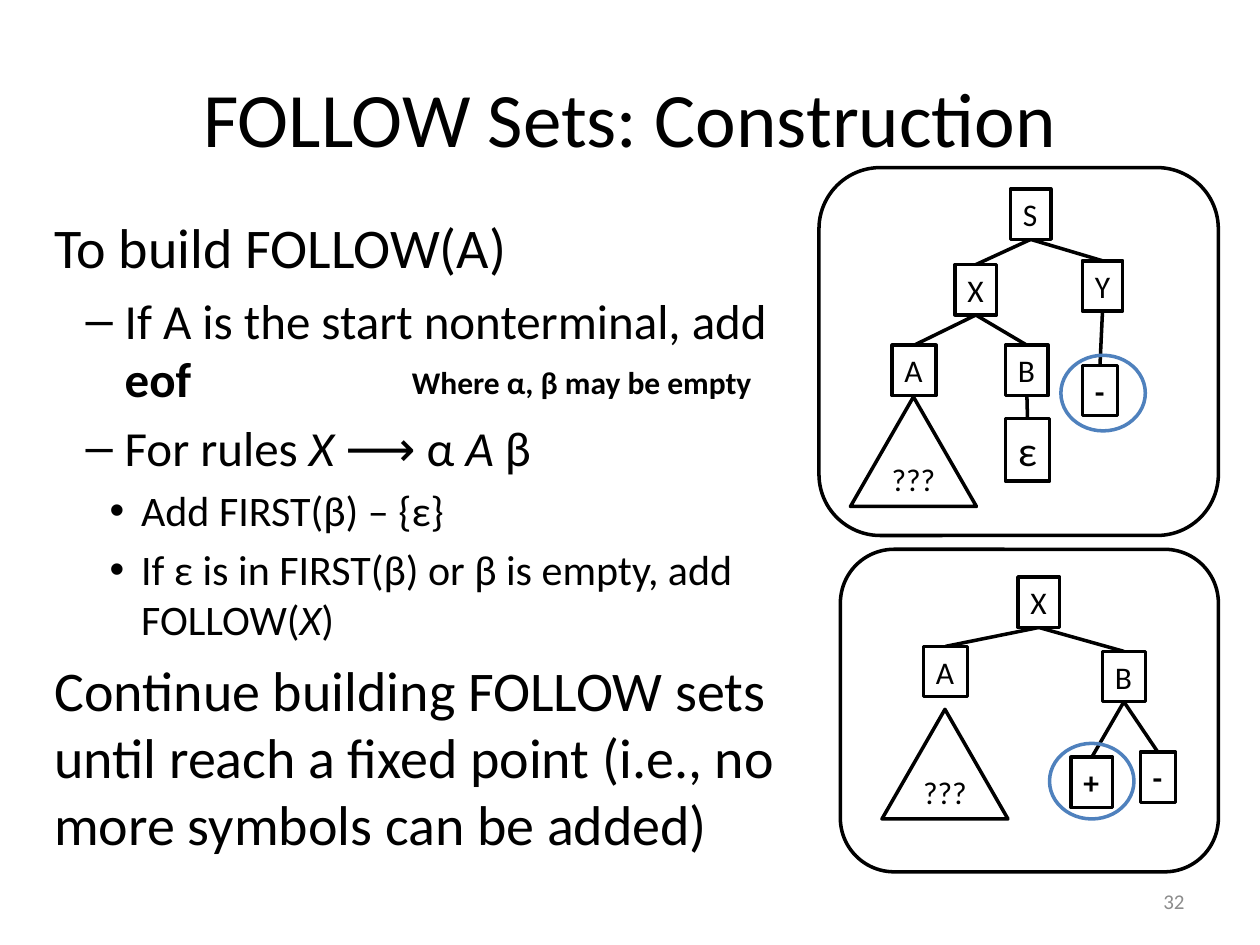
from dataclasses import dataclass
from typing import Optional

from lxml.etree import SubElement
from pptx import Presentation
from pptx.dml.color import RGBColor
from pptx.enum.shapes import MSO_CONNECTOR as Connector, MSO_SHAPE as Shape
from pptx.enum.text import MSO_ANCHOR as Anchor, MSO_AUTO_SIZE as AutoSize, PP_ALIGN as Align
from pptx.oxml.ns import qn
from pptx.util import Inches, Pt

FONT = "Calibri"
BLACK, WHITE, BLUE, GRAY = "000000", "FFFFFF", "4F81BD", "8C8C8C"


@dataclass
class Box:
    left: float
    top: float
    width: float
    height: float

    def lengths(self) -> list:
        return [Inches(value) for value in (self.left, self.top, self.width, self.height)]


@dataclass
class Node:
    label: str
    left: float
    top: float
    width: float
    parent: Optional[str] = None
    height: float = 0.4
    size: int = 18

    def center(self) -> float:
        return self.left + self.width / 2


@dataclass
class Tree:
    frame: Box
    nodes: list
    triangle: Box
    circle: Box


@dataclass
class Level:
    margin: float
    indent: float
    size: int


LEVELS = [Level(0, 0, 32), Level(0.56, -0.31, 28), Level(0.69, -0.25, 24)]

BODY = [
    (0, [("To build FOLLOW(A)", "")]),
    (1, [("If A is the start nonterminal, add ", ""), ("eof", "b")]),
    (1, [("For rules ", ""), ("X", "i"), ("\u00a0⟶\u00a0α\u00a0", ""), ("A\u00a0", "i"), ("β", "")]),
    (2, [("Add FIRST(β) – {ε}", "")]),
    (2, [("If ε is in FIRST(β) or β is empty, add FOLLOW(", ""), ("X", "i"), (")", "")]),
    (0, [("Continue building FOLLOW sets until reach a fixed point (i.e., no more symbols can be added)", "")]),
]

TREES = [
    Tree(
        Box(6.5, 1.33, 3.17, 2.92),
        [
            Node("S", 8.02, 1.5, 0.32),
            Node("X", 7.58, 2.1, 0.33, "S"),
            Node("Y", 8.59, 2.07, 0.32, "S"),
            Node("-", 8.59, 2.9, 0.28, "Y"),
            Node("A", 7.08, 2.74, 0.35, "X"),
            Node("B", 7.98, 2.74, 0.34, "X"),
            Node("ε", 7.98, 3.32, 0.35, "B", 0.5, 24),
        ],
        Box(6.75, 3.15, 1, 0.87),
        Box(8.42, 2.82, 0.67, 0.6),
    ),
    Tree(
        Box(6.67, 4.36, 3, 2.56),
        [
            Node("X", 8.08, 4.58, 0.33),
            Node("A", 7.33, 5.13, 0.35, "X"),
            Node("B", 8.75, 5.17, 0.34, "X"),
            Node("+", 8.5, 6.01, 0.33, "B"),
            Node("-", 9.05, 5.97, 0.28, "B"),
        ],
        Box(7, 5.63, 1, 0.87),
        Box(8.33, 5.9, 0.67, 0.6),
    ),
]


def color(value: str) -> RGBColor:
    return RGBColor.from_string(value)


def format_run(run, size: int, value: str = BLACK, style: str = "") -> None:
    run.font.name = FONT
    run.font.size = Pt(size)
    run.font.color.rgb = color(value)
    run.font.bold = "b" in style
    run.font.italic = "i" in style


def write(shape, text: str, size: int, align, value: str = BLACK, style: str = "") -> None:
    shape.text_frame.text = text
    paragraph = shape.text_frame.paragraphs[0]
    paragraph.alignment = align
    format_run(paragraph.runs[0], size, value, style)


def fit_to_text(shape) -> None:
    shape.text_frame.word_wrap = False
    shape.text_frame.auto_size = AutoSize.SHAPE_TO_FIT_TEXT


def place(shape, box: Box) -> None:
    shape.left, shape.top, shape.width, shape.height = box.lengths()


def add_outline(shapes, kind, box: Box, line: str = BLACK, filled: bool = True):
    shape = shapes.add_shape(kind, *box.lengths())
    shape.shadow.inherit = False
    if filled:
        shape.fill.solid()
        shape.fill.fore_color.rgb = color(WHITE)
    else:
        shape.fill.background()
    shape.line.color.rgb = color(line)
    shape.line.width = Pt(2)
    return shape


def add_edge(shapes, parent: Node, child: Node) -> None:
    edge = shapes.add_connector(
        Connector.STRAIGHT,
        Inches(parent.center()), Inches(parent.top + parent.height),
        Inches(child.center()), Inches(child.top),
    )
    edge.line.color.rgb = color(BLACK)
    edge.line.width = Pt(2)
    SubElement(edge.element.spPr, qn("a:effectLst"))


def add_node(shapes, node: Node) -> None:
    shape = add_outline(shapes, Shape.RECTANGLE, Box(node.left, node.top, node.width, node.height))
    write(shape, node.label, node.size, Align.LEFT, style="b" if node.label in "+-" else "")
    shape.text_frame.vertical_anchor = Anchor.TOP
    fit_to_text(shape)


def add_tree(slide, tree: Tree) -> None:
    shapes = slide.shapes.add_group_shape().shapes
    by_label = {node.label: node for node in tree.nodes}
    for node in tree.nodes:
        if node.parent:
            add_edge(shapes, by_label[node.parent], node)
    for node in tree.nodes:
        add_node(shapes, node)
    triangle = add_outline(shapes, Shape.ISOSCELES_TRIANGLE, tree.triangle)
    write(triangle, "???", 18, Align.CENTER)
    frame = triangle.text_frame
    frame.vertical_anchor = Anchor.MIDDLE
    frame.margin_left = frame.margin_right = frame.margin_top = frame.margin_bottom = Inches(0.05)
    add_outline(shapes, Shape.OVAL, tree.circle, BLUE, filled=False)


def fill_body(body) -> None:
    frame = body.text_frame
    frame.auto_size = AutoSize.NONE
    for index, (depth, pieces) in enumerate(BODY):
        paragraph = frame.paragraphs[0] if index == 0 else frame.add_paragraph()
        paragraph.level = depth
        level = LEVELS[depth]
        properties = paragraph._p.get_or_add_pPr()
        properties.set("marL", str(Inches(level.margin)))
        properties.set("indent", str(Inches(level.indent)))
        if depth == 0:
            SubElement(properties, qn("a:buNone"))
        for text, style in pieces:
            run = paragraph.add_run()
            run.text = text
            format_run(run, level.size, style=style)


presentation = Presentation()
presentation.slide_width, presentation.slide_height = Inches(10), Inches(7.5)
slide = presentation.slides.add_slide(presentation.slide_layouts[1])

title, body = slide.placeholders
place(title, Box(0.5, 0.3, 9, 1.25))
write(title, "FOLLOW Sets: Construction", 44, Align.CENTER)
place(body, Box(0.33, 1.64, 6, 5.27))
fill_body(body)

number = slide.shapes.add_textbox(*Box(7.17, 6.95, 2.33, 0.4).lengths())
write(number, "32", 12, Align.RIGHT, GRAY)
number.text_frame.word_wrap = True
number.text_frame.vertical_anchor = Anchor.MIDDLE

for tree in TREES:
    add_outline(slide.shapes, Shape.ROUNDED_RECTANGLE, tree.frame)
for tree in reversed(TREES):
    add_tree(slide, tree)

remark = slide.shapes.add_textbox(*Box(3.17, 2.83, 2.98, 0.4).lengths())
write(remark, "Where α, β may be empty ", 18, Align.LEFT, style="b")
fit_to_text(remark)

presentation.save("out.pptx")
